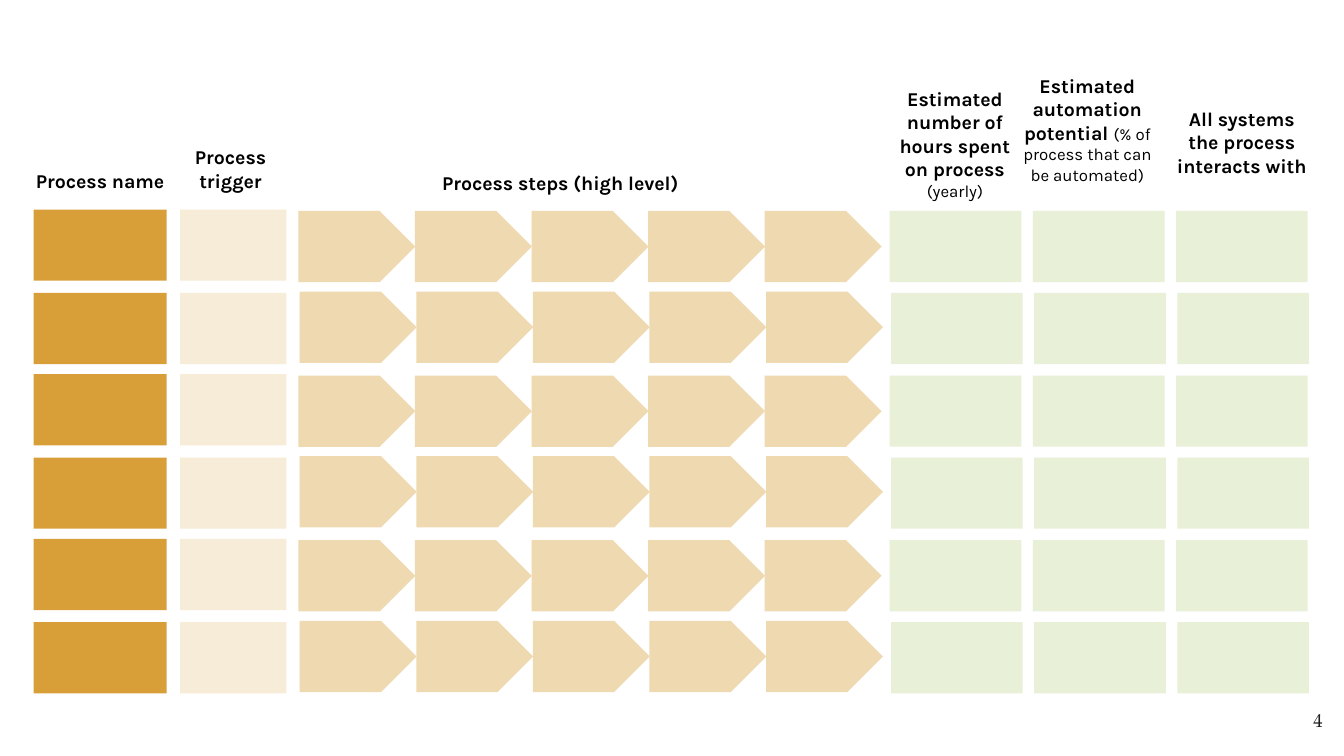
from pptx import Presentation
from pptx.dml.color import RGBColor
from pptx.enum.shapes import MSO_SHAPE as Shape
from pptx.enum.text import MSO_ANCHOR as Anchor, PP_ALIGN as Align
from pptx.util import Inches, Pt

COLORS = {
    "name": "D89F39", "trigger": "F7ECD7", "step": "EFD9B0",
    "estimate": "E8F0D8", "heading": "000000", "number": "1D1D1B",
}
HEADINGS = [
    ("Estimated automation potential ", "(% of process that can be automated)", (7.6, 0.46, 0.98, 1)),
    ("Process name", "", (0.25, 1.23, 0.99, 0.23)),
    ("Process trigger", "", (1.32, 1.05, 0.79, 0.41)),
    ("Process steps (high level)", "", (2.23, 1.26, 3.88, 0.2)),
    ("Estimated number of hours spent on process ", "(yearly)", (6.61, 0.68, 0.99, 0.78)),
    ("All systems the process interacts with", "", (8.75, 0.65, 0.98, 0.81)),
]
# kind, preset, count, first left, last left, width, odd-row shift, tops within a pair of rows
COLUMNS = [
    ("name", Shape.RECTANGLE, 1, 0.25, 0.25, 0.99, 0, (0, 0.62)),
    ("trigger", Shape.RECTANGLE, 1, 1.34, 1.34, 0.79, 0, (0, 0.62)),
    ("step", Shape.PENTAGON, 5, 2.22, 5.69, 0.87, 0.01, (0.01, 0.61)),
    ("estimate", Shape.RECTANGLE, 3, 6.62, 8.75, 0.98, 0.01, (0.01, 0.62)),
]
PAIR_COUNT = 3
FIRST_TOP, LAST_TOP, ROW_HEIGHT = 1.56, 4.01, 0.53


def spread(first, last, count):
    """Return evenly spaced positions from first to last."""
    return [first + (last - first) * index / max(count - 1, 1) for index in range(count)]


def add_text(slide, box, runs, font_name, color, align, anchor, inset):
    """Add a text box whose runs are (text, size, bold) tuples."""
    frame = slide.shapes.add_textbox(*map(Inches, box)).text_frame
    frame.word_wrap = True
    frame.vertical_anchor = anchor
    frame.margin_left = frame.margin_right = Inches(inset[0])
    frame.margin_top = frame.margin_bottom = Inches(inset[1])
    paragraph = frame.paragraphs[0]
    paragraph.alignment = align
    for text, size, bold in runs:
        run = paragraph.add_run()
        run.text = text
        run.font.name = font_name
        run.font.size = Pt(size)
        run.font.bold = bold
        run.font.color.rgb = RGBColor.from_string(COLORS[color])


def add_cell(slide, preset, box, color):
    """Add one flat, borderless cell of the process grid."""
    cell = slide.shapes.add_shape(preset, *map(Inches, box))
    cell.shadow.inherit = False
    cell.fill.solid()
    cell.fill.fore_color.rgb = RGBColor.from_string(COLORS[color])
    cell.line.fill.background()


def main():
    """Build the process inventory slide."""
    deck = Presentation()
    deck.slide_width = Inches(10)
    deck.slide_height = Inches(10) * 9 // 16
    slide = deck.slides.add_slide(deck.slide_layouts[6])

    add_text(slide, (9.34, 5.19, 0.6, 0.43), [("4", 10, False)],
             "TeX Gyre Pagella", "number", Align.RIGHT, Anchor.TOP, (0.1, 0.1))
    for heading, detail, box in HEADINGS:
        runs = [(heading, 10.5, True)] + ([(detail, 9, False)] if detail else [])
        add_text(slide, box, runs, "Karla", "heading", Align.CENTER, Anchor.MIDDLE, (0, 0.03))

    for pair_top in spread(FIRST_TOP, LAST_TOP, PAIR_COUNT):
        for odd in range(2):
            for kind, preset, count, first, last, width, shift, tops in COLUMNS:
                for left in spread(first, last, count):
                    box = (left + odd * shift, pair_top + tops[odd], width, ROW_HEIGHT)
                    add_cell(slide, preset, box, kind)

    deck.save("out.pptx")


if __name__ == "__main__":
    main()
